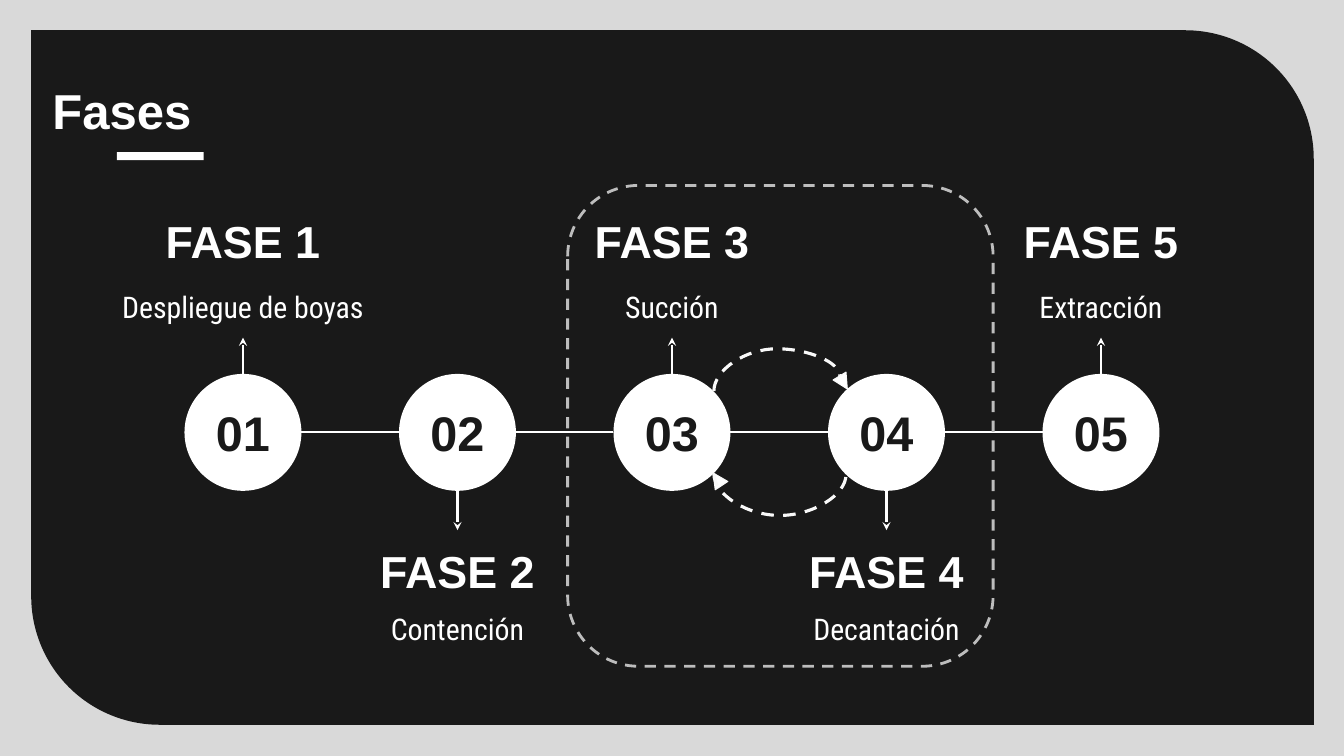
from dataclasses import dataclass

from lxml.etree import SubElement
from pptx import Presentation
from pptx.dml.color import RGBColor
from pptx.enum.dml import MSO_LINE
from pptx.enum.shapes import MSO_CONNECTOR as Link, MSO_SHAPE as Preset
from pptx.enum.text import MSO_ANCHOR as Anchor, MSO_AUTO_SIZE, PP_ALIGN as Align
from pptx.oxml.ns import qn
from pptx.util import Inches, Pt

COLUMNS, ROWS = 133.3, 75
CELL = Inches(0.1)
WHITE, DARK, GREY, PALE, BACKDROP = "FFFFFF", "191919", "BDBDBD", "F9F9F9", "D9D9D9"
FIRST_CENTRE, LAST_CENTRE = 24.1, 109.2
CIRCLE, CIRCLE_TOP = 11.6, 37.1
AXIS = CIRCLE_TOP + CIRCLE / 2
NAME_HEIGHT, DETAIL_HEIGHT = 7.9, 6.8
ARC_DEPTH = 4.2


@dataclass
class Phase:
    detail: str
    above: bool
    detail_width: float = 24.3


@dataclass
class Arc:
    left: float
    top: float
    width: float
    height: float
    rotation: int
    flip_vertical: bool


@dataclass
class Arrowhead:
    left: float
    top: float
    rotation: float


PHASES = [
    Phase("Despliegue de boyas", True, 27.6),
    Phase("Contención", False),
    Phase("Succión", True),
    Phase("Decantación", False),
    Phase("Extracción", True),
]
ARCS = [Arc(76.3, 31.8, 1.5, 12.5, 90, True), Arc(77.3, 40.5, 0.1, 13.1, 270, False)]
ARROWHEADS = [Arrowhead(82.9, 37.2, 149), Arrowhead(70.4, 46.8, 326.6)]


def grid(cells: float) -> int:
    return round(cells * CELL)


def colour(code: str) -> RGBColor:
    return RGBColor.from_string(code)


def write(shape, text: str, *, size: float, font="Arial", ink=WHITE, bold=True,
          align=Align.CENTER, anchor=Anchor.TOP) -> None:
    frame = shape.text_frame
    frame.auto_size = MSO_AUTO_SIZE.NONE
    frame.word_wrap = True
    frame.vertical_anchor = anchor
    frame.margin_left = frame.margin_right = Inches(0.13)
    frame.margin_top = frame.margin_bottom = Inches(0.13)
    para = frame.paragraphs[0]
    para.alignment = align
    span = para.add_run()
    span.text = text
    span.font.name, span.font.size, span.font.bold = font, Pt(size), bold
    span.font.color.rgb = colour(ink)


def add_box(page, left: float, top: float, width: float, height: float):
    return page.shapes.add_textbox(grid(left), grid(top), grid(width), grid(height))


def add_preset(page, preset, left: float, top: float, width: float, height: float,
               fill: str | None = None, edge: str | None = None):
    shape = page.shapes.add_shape(preset, grid(left), grid(top), grid(width), grid(height))
    shape.shadow.inherit = False
    if fill:
        shape.fill.solid()
        shape.fill.fore_color.rgb = colour(fill)
    else:
        shape.fill.background()
    if edge:
        shape.line.color.rgb = colour(edge)
    else:
        shape.line.fill.background()
    return shape


def add_link(page, kind, start: tuple, end: tuple, ink=WHITE, weight=1.5):
    link = page.shapes.add_connector(kind, *map(grid, start + end))
    link.line.color.rgb = colour(ink)
    link.line.width = Pt(weight)
    SubElement(link.element.spPr, qn("a:effectLst"))
    return link


def add_labels(page, phase: Phase, number: int, centre: float):
    name_top, detail_top = (19.9, 26.7) if phase.above else (52.6, 59.3)
    anchor = Anchor.BOTTOM if phase.above else Anchor.TOP
    name = add_box(page, centre - 12.15, name_top, 24.3, NAME_HEIGHT)
    write(name, f"FASE {number}", size=32, anchor=anchor)
    detail = add_box(page, centre - phase.detail_width / 2, detail_top,
                     phase.detail_width, DETAIL_HEIGHT)
    write(detail, phase.detail, size=21.3, font="Roboto Condensed", bold=False, anchor=anchor)
    return name, detail


def add_phase(page, phase: Phase, number: int, centre: float) -> None:
    name, detail = add_labels(page, phase, number, centre)
    circle = add_preset(page, Preset.OVAL, centre - CIRCLE / 2, CIRCLE_TOP, CIRCLE, CIRCLE, WHITE)
    write(circle, f"{number:02}", size=34.7, ink=DARK, anchor=Anchor.MIDDLE)
    start = (centre, CIRCLE_TOP + CIRCLE)
    arrow = add_link(page, Link.STRAIGHT, start, (centre, 52.6))
    if phase.above:
        arrow.begin_connect(circle, 0)
        arrow.end_connect(detail, 2)
    else:
        arrow.end_connect(name, 0)
    SubElement(arrow.get_or_add_ln(), qn("a:tailEnd"), type="stealth")


def add_arc(page, arc: Arc) -> None:
    right, bottom = arc.left + arc.width, arc.top + arc.height
    first, last = (bottom, arc.top) if arc.flip_vertical else (arc.top, bottom)
    curve = add_link(page, Link.CURVE, (right, first), (arc.left, last), PALE, 2.25)
    curve.line.dash_style = MSO_LINE.DASH
    properties = curve.element.spPr
    properties.find(qn("a:xfrm")).set("rot", str(arc.rotation * 60000))
    guides = properties.find(qn("a:prstGeom")).find(qn("a:avLst"))
    bend = round(ARC_DEPTH / arc.width * 100000)
    SubElement(guides, qn("a:gd"), name="adj1", fmla=f"val {bend}")


def add_frame(page) -> None:
    panel = add_preset(page, Preset.ROUND_2_DIAG_RECTANGLE, 3.1, 3, 127.2, 68.9, DARK)
    panel.adjustments[0], panel.adjustments[1] = 0, 0.185
    title = page.shapes.title
    title.element.addprevious(panel.element)
    title.left, title.top = grid(3.9), grid(6.7)
    title.width, title.height = grid(113.9), grid(8.4)
    write(title, "Fases", size=35, align=Align.LEFT)
    add_preset(page, Preset.RECTANGLE, 11.6, 15.1, 8.6, 0.8, WHITE)


def add_cycle(page) -> None:
    border = add_preset(page, Preset.ROUNDED_RECTANGLE, 56.3, 18.4, 42.2, 47.7, edge=GREY)
    border.line.width = Pt(2)
    border.line.dash_style = MSO_LINE.DASH
    for head, arc in zip(ARROWHEADS, ARCS):
        triangle = add_preset(page, Preset.ISOSCELES_TRIANGLE, head.left, head.top,
                              1.5, 1.5, WHITE, PALE)
        triangle.line.width = Pt(0.75)
        triangle.rotation = head.rotation
        add_arc(page, arc)


def main() -> None:
    deck = Presentation()
    deck.slide_width, deck.slide_height = grid(COLUMNS), grid(ROWS)
    page = deck.slides.add_slide(deck.slide_layouts[5])
    page.background.fill.solid()
    page.background.fill.fore_color.rgb = colour(BACKDROP)
    add_frame(page)
    step = (LAST_CENTRE - FIRST_CENTRE) / (len(PHASES) - 1)
    centres = [FIRST_CENTRE + step * index for index in range(len(PHASES))]
    for number, (phase, centre) in enumerate(zip(PHASES, centres), start=1):
        add_phase(page, phase, number, centre)
    for left, right in zip(centres, centres[1:]):
        add_link(page, Link.STRAIGHT, (left + CIRCLE / 2, AXIS), (right - CIRCLE / 2, AXIS))
    add_cycle(page)
    deck.save("out.pptx")


if __name__ == "__main__":
    main()
